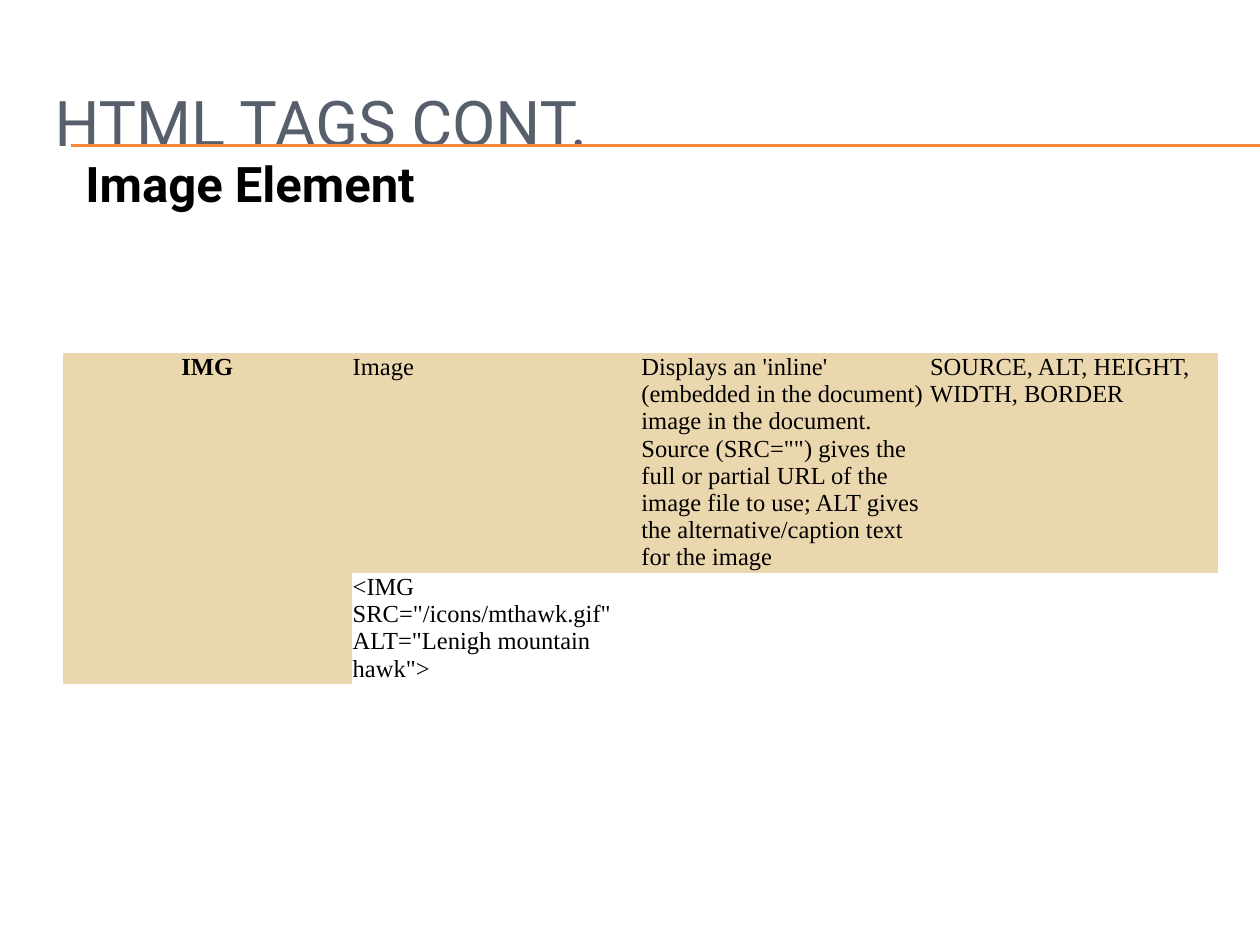
import pptx
import pptx.util
import pptx.dml.color
import pptx.enum.text
import pptx.enum.shapes
import lxml.etree

SCALE = 914400 / 126
HUES = {"title": "575F6D", "text": "000000", "rule": "FE8637",
        "tan": "EBD7AE", "white": "FFFFFF"}
ALIGN = pptx.enum.text.PP_ALIGN
ANCHOR = pptx.enum.text.MSO_ANCHOR
NO_GRID = "{2D5ABB26-0587-4C30-8999-92F81FD0307C}"


def px(n):
    return pptx.util.Emu(round(n * SCALE))


def hue(name):
    return pptx.dml.color.RGBColor.from_string(HUES[name])


def apply(item, values):
    for key, value in values.items():
        setattr(item, key, value)


def write(frame, text, color, align=ALIGN.LEFT, **font):
    para = frame.paragraphs[0]
    para.alignment = align
    run = para.add_run()
    run.text = text
    apply(run.font, font)
    run.font.color.rgb = hue(color)


def rules(slide, box):
    left, top, width, height = box
    for drop in (0, 0, height):
        line = slide.shapes.add_connector(
            pptx.enum.shapes.MSO_CONNECTOR.STRAIGHT,
            px(left), px(top + drop), px(left + width), px(top + drop))
        line.line.color.rgb = hue("rule")
        line.line.width = pptx.util.Pt(0.75)
        props = line.element.spPr
        lxml.etree.SubElement(props, pptx.oxml.ns.qn("a:effectLst"))


def place(shape, box):
    apply(shape, dict(zip(("left", "top", "width", "height"), map(px, box))))


def heading(slide, box):
    title = slide.shapes.title
    place(title, box)
    apply(title.text_frame, {"vertical_anchor": ANCHOR.MIDDLE, "word_wrap": True,
                             "auto_size": pptx.enum.text.MSO_AUTO_SIZE.NONE})
    write(title.text_frame, "HTML TAGS CONT.", "title",
          name="Roboto", size=pptx.util.Pt(36), bold=False)


def topic(slide, box):
    frame = slide.shapes.add_textbox(*map(px, box)).text_frame
    frame.word_wrap = True
    write(frame, "Image Element", "text",
          name="Roboto", size=pptx.util.Pt(28), bold=True)


def grid(slide, box, rows):
    cells = {
        (0, 0): "IMG",
        (0, 1): "Image",
        (0, 2): "Displays an 'inline' (embedded in the document) image in the "
                "document. Source (SRC=\"\") gives the full or partial URL of the "
                "image file to use; ALT gives the alternative/caption text for "
                "the image",
        (0, 3): "SOURCE, ALT, HEIGHT, WIDTH, BORDER",
        (1, 1): "<IMG SRC=\"/icons/mthawk.gif\" ALT=\"Lenigh mountain hawk\">",
    }
    shape = slide.shapes.add_table(2, 4, *map(px, box))
    table = shape.table
    apply(table, {"first_row": False, "horz_banding": False})
    table._tbl.tblPr.find(pptx.oxml.ns.qn("a:tableStyleId")).text = NO_GRID
    for col in table.columns:
        col.width = px(box[2] / 4)
    for row, height in zip(table.rows, rows):
        row.height = px(height)
    table.cell(0, 0).merge(table.cell(1, 0))
    table.cell(1, 2).merge(table.cell(1, 3))
    sides = ("margin_left", "margin_right", "margin_top", "margin_bottom")
    for r in range(2):
        for c in range(4):
            cell = table.cell(r, c)
            apply(cell, dict.fromkeys(sides, px(1)))
            cell.fill.solid()
            cell.fill.fore_color.rgb = hue("tan" if r == 0 or c == 0 else "white")
            if (r, c) in cells:
                write(cell.text_frame, cells[r, c], "text",
                      ALIGN.CENTER if c == 0 else ALIGN.LEFT,
                      name="Times New Roman", size=pptx.util.Pt(14), bold=c == 0)


def main():
    deck = pptx.Presentation()
    apply(deck, {"slide_width": px(1260), "slide_height": px(945)})
    slide = deck.slides.add_slide(deck.slide_layouts[5])
    rules(slide, (71, 145, 1189, 1))
    heading(slide, (42, 63, 1197, 116))
    grid(slide, (63, 353, 1155, 331), (220, 111))
    topic(slide, (73, 147, 924, 131))
    deck.save("out.pptx")


main()
